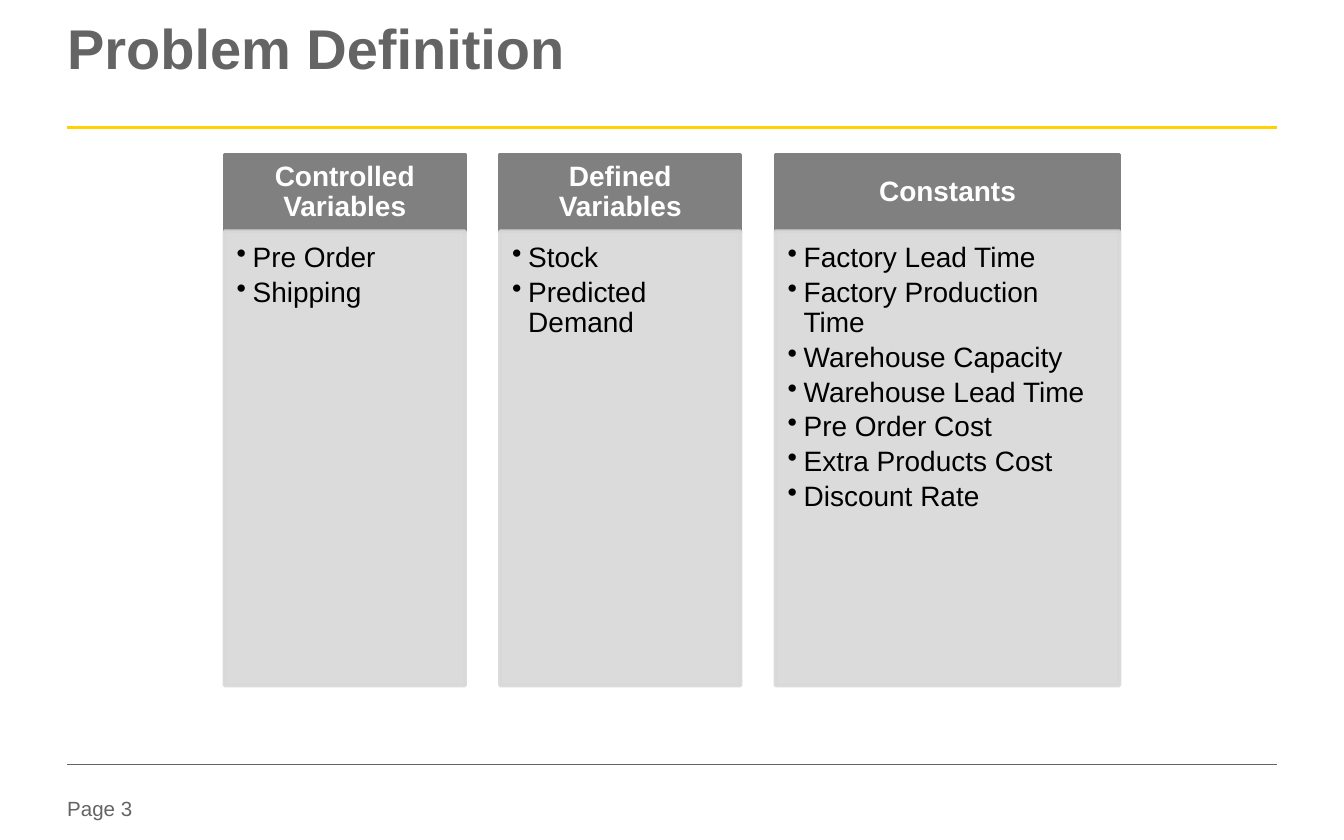
from lxml import etree
from pptx import Presentation
from pptx import util as u
from pptx.dml.color import RGBColor
from pptx.enum import shapes, text
from pptx.oxml.ns import qn


def rgb(code):
    return RGBColor.from_string(code)


def write(shape, lines, size, color, bold=False, pads=(0, 0, 0, 0)):
    frame = shape.text_frame
    frame.word_wrap = True
    frame.margin_left, frame.margin_top, frame.margin_right, frame.margin_bottom = [u.Inches(p) for p in pads]
    frame.vertical_anchor = text.MSO_ANCHOR.TOP
    frame.text = "\n".join(lines)
    for para in frame.paragraphs:
        para.alignment = text.PP_ALIGN.LEFT
        font = para.runs[0].font
        font.name, font.size, font.bold = "Arial", u.Pt(size), bold
        font.color.rgb = rgb(color)
    return frame


deck = Presentation()
deck.slide_width, deck.slide_height = u.Inches(10), u.Inches(6.25)
slide = deck.slides.add_slide(deck.slide_layouts[6])
items = slide.shapes

page = items.add_textbox(u.Inches(0.5), u.Inches(5.92), u.Inches(0.79), u.Inches(0.18))
write(page, ["Page 3"], 11, "646464")

for y, color, width in [(0.95, "FFD200", 1.5), (5.69, "646464", 0.25)]:
    rule = items.add_connector(shapes.MSO_CONNECTOR.STRAIGHT, u.Inches(0.5), u.Inches(y), u.Inches(9.5), u.Inches(y))
    rule.line.color.rgb = rgb(color)
    rule.line.width = u.Pt(width)
    etree.SubElement(rule._element.spPr, qn("a:effectLst"))

title = items.add_textbox(u.Inches(0.5), u.Inches(0.18), u.Inches(9), u.Inches(0.78))
write(title, ["Problem Definition"], 30, "646464", True).paragraphs[0].line_spacing = 0.85

cols = [
    ("Controlled Variables", 1.79, ["Pre Order", "Shipping"]),
    ("Defined Variables", 1.79, ["Stock", "Predicted Demand"]),
    ("Constants", 2.56, ["Factory Lead Time", "Factory Production Time", "Warehouse Capacity",
                         "Warehouse Lead Time", "Pre Order Cost", "Extra Products Cost", "Discount Rate"]),
]
x, gap = 1.67, 0.26
for name, wide, points in cols:
    pair = []
    for top, high, color in [(1.15, 0.57, "808080"), (1.72, 3.38, "D8D8D8")]:
        box = items.add_shape(shapes.MSO_SHAPE.RECTANGLE, u.Inches(x), u.Inches(top), u.Inches(wide), u.Inches(high))
        box.shadow.inherit = False
        box.fill.solid()
        box.fill.fore_color.rgb = rgb(color)
        box.line.color.rgb = rgb(color)
        box.line.width = u.Pt(2)
        pair.append(box)
    head, body = pair

    frame = write(head, [name], 15, "FFFFFF", True, (0.12, 0.07, 0.12, 0.07))
    frame.vertical_anchor = text.MSO_ANCHOR.MIDDLE
    frame.paragraphs[0].alignment = text.PP_ALIGN.CENTER
    frame.paragraphs[0].line_spacing = 0.9

    for tone in body._element.spPr.iter(qn("a:srgbClr")):
        etree.SubElement(tone, qn("a:alpha")).set("val", "90000")
    frame = write(body, points, 15, "000000", False, (0.09, 0.09, 0.12, 0.13))
    for para in frame.paragraphs:
        para.level = 1
        para.line_spacing = 0.9
        para.space_after = u.Pt(2.4)
        props = para._p.get_or_add_pPr()
        props.set("marL", str(u.Inches(0.12)))
        props.set("indent", str(u.Inches(-0.12)))
        etree.SubElement(props, qn("a:buChar")).set("char", "•")
    x += wide + gap

deck.save("out.pptx")
